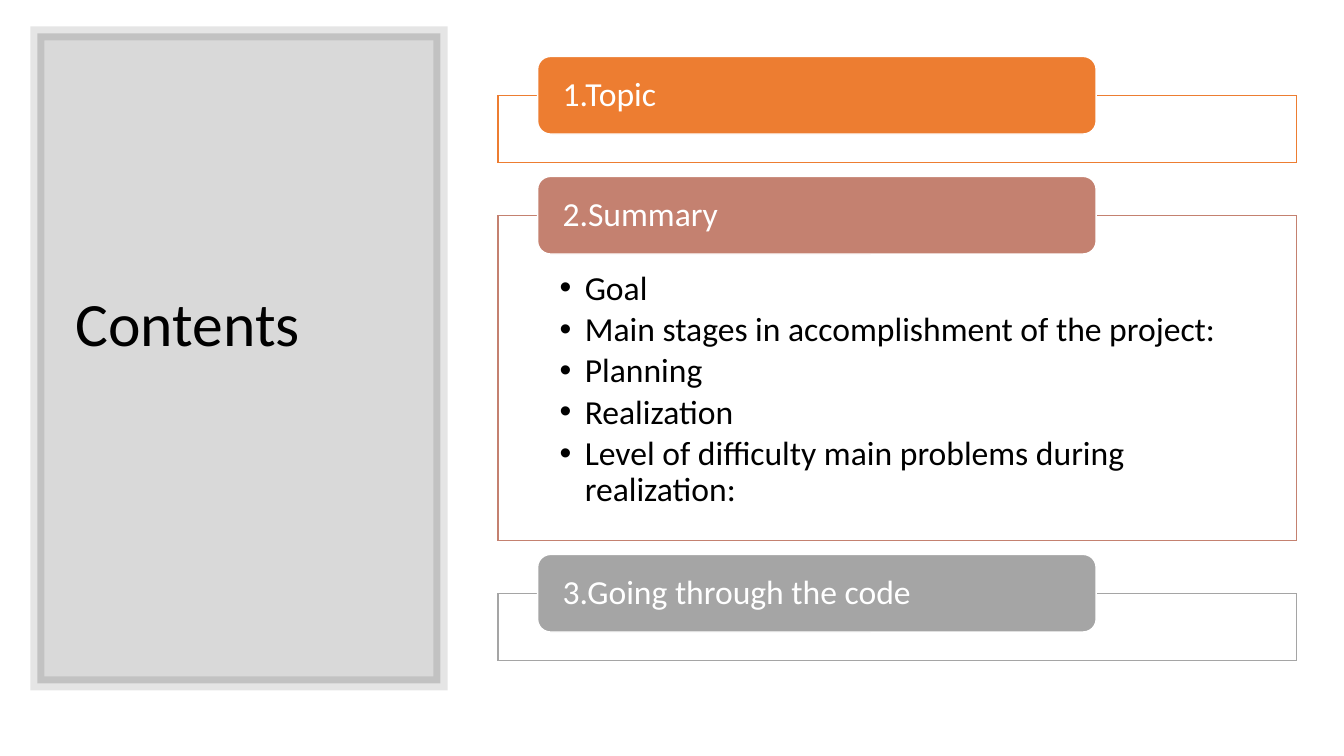
from dataclasses import dataclass

from lxml import etree
from pptx import Presentation
from pptx.dml.color import RGBColor
from pptx.enum.shapes import MSO_SHAPE
from pptx.enum.text import MSO_ANCHOR, MSO_AUTO_SIZE, PP_ALIGN
from pptx.oxml.ns import qn
from pptx.util import Emu, Inches, Pt

RECT, ROUNDED = MSO_SHAPE.RECTANGLE, MSO_SHAPE.ROUNDED_RECTANGLE
TOP, MIDDLE = MSO_ANCHOR.TOP, MSO_ANCHOR.MIDDLE
LEFT, NO_FIT = PP_ALIGN.LEFT, MSO_AUTO_SIZE.NONE
FONT, BLACK, WHITE = "Calibri", "000000", "FFFFFF"
TITLE_AND_CONTENT = 1


@dataclass
class Box:
    """Place and size in percent of the slide's width and height."""
    left: float
    top: float
    width: float
    height: float


@dataclass
class Section:
    label: str
    color: str
    frame_height: float


SECTIONS = [
    Section("1.Topic", "ED7D31", 8.8),
    Section("2.Summary", "C48170", 42.93),
    Section("3.Going through the code", "A5A5A5", 8.8),
]
SUMMARY_ITEMS = [
    "Goal",
    "Main stages in accomplishment of the project:",
    "Planning",
    "Realization",
    "Level of difficulty main problems during realization:",
]
PANEL = Box(2.78, 4.4, 30, 86)
TITLE = Box(4.88, 9.33, 25.96, 76.67)
FRAME_LEFT, FRAME_WIDTH = 37.06, 59.41
TAB_LEFT, TAB_WIDTH, TAB_HEIGHT = 40, 41.56, 10.27
FIRST_TAB_TOP, FRAME_DROP, SECTION_GAP = 7.47, 5.2, 1.87

prs = Presentation()
prs.slide_width, prs.slide_height = Inches(13.33), Inches(7.5)


def place(sp, box: Box) -> None:
    sp.left = Emu(round(prs.slide_width * box.left / 100))
    sp.top = Emu(round(prs.slide_height * box.top / 100))
    sp.width = Emu(round(prs.slide_width * box.width / 100))
    sp.height = Emu(round(prs.slide_height * box.height / 100))


def paint(fill, color: str, opacity: int = 100) -> None:
    fill.solid()
    fill.fore_color.rgb = RGBColor.from_string(color)
    if opacity < 100:
        # fill.fore_color has no public opacity, so the alpha goes into the XML
        srgb = fill._xPr.find(qn("a:solidFill")).find(qn("a:srgbClr"))
        etree.SubElement(srgb, qn("a:alpha")).set("val", str(opacity * 1000))


def add_box(s, kind, box: Box, fill: str, line: str, opacity: int = 100,
            line_width: float = 1, line_opacity: int = 100):
    sp = s.shapes.add_shape(kind, 0, 0, 0, 0)
    place(sp, box)
    sp.shadow.inherit = False
    paint(sp.fill, fill, opacity)
    paint(sp.line.fill, line, line_opacity)
    sp.line.width = Pt(line_width)
    miter = etree.SubElement(sp.line._get_or_add_ln(), qn("a:miter"))
    miter.set("lim", "800000")
    return sp


def set_text(sp, lines: list[str], size: int, color: str, anchor,
             insets: tuple[float, float, float, float],
             space_after: float = 0, bullet_indent: float = 0) -> None:
    """Write the lines with insets in inches: left, top, right, bottom."""
    tf = sp.text_frame
    tf.word_wrap, tf.auto_size, tf.vertical_anchor = True, NO_FIT, anchor
    (tf.margin_left, tf.margin_top,
     tf.margin_right, tf.margin_bottom) = map(Inches, insets)
    tf.text = "\n".join(lines)
    for p in tf.paragraphs:
        p.alignment, p.line_spacing = LEFT, 0.9
        p.space_before, p.space_after = Pt(0), Pt(space_after)
        p.font.name, p.font.size = FONT, Pt(size)
        p.font.color.rgb = RGBColor.from_string(color)
        if bullet_indent:
            pPr = p._p.get_or_add_pPr()
            pPr.set("marL", str(Inches(bullet_indent)))
            pPr.set("indent", str(-Inches(bullet_indent)))
            bullet = etree.Element(qn("a:buChar"), char="•")
            pPr.find(qn("a:defRPr")).addprevious(bullet)


def bring_to_front(sp) -> None:
    sp.element.getparent().append(sp.element)


def main() -> None:
    s = prs.slides.add_slide(prs.slide_layouts[TITLE_AND_CONTENT])
    title, summary = s.placeholders[0], s.placeholders[1]

    add_box(s, RECT, PANEL, BLACK, BLACK, opacity=15,
            line_width=10, line_opacity=10)
    place(title, TITLE)
    set_text(title, ["Contents"], 44, BLACK, MIDDLE, (0.1, 0.05, 0.1, 0.72))
    bring_to_front(title)

    tab_top = FIRST_TAB_TOP
    for section in SECTIONS:
        frame = Box(FRAME_LEFT, tab_top + FRAME_DROP,
                    FRAME_WIDTH, section.frame_height)
        add_box(s, RECT, frame, WHITE, section.color, opacity=90)
        if section.label == "2.Summary":
            place(summary, frame)
            set_text(summary, SUMMARY_ITEMS, 24, BLACK, TOP,
                     (0.61, 0.55, 0.61, 0.19), 3.6, 0.25)
            bring_to_front(summary)
        tab = add_box(s, ROUNDED, Box(TAB_LEFT, tab_top, TAB_WIDTH, TAB_HEIGHT),
                      section.color, WHITE)
        set_text(tab, [section.label], 24, WHITE, MIDDLE, (0.21, 0, 0.21, 0))
        tab_top = frame.top + frame.height + SECTION_GAP

    prs.save("out.pptx")


if __name__ == "__main__":
    main()
